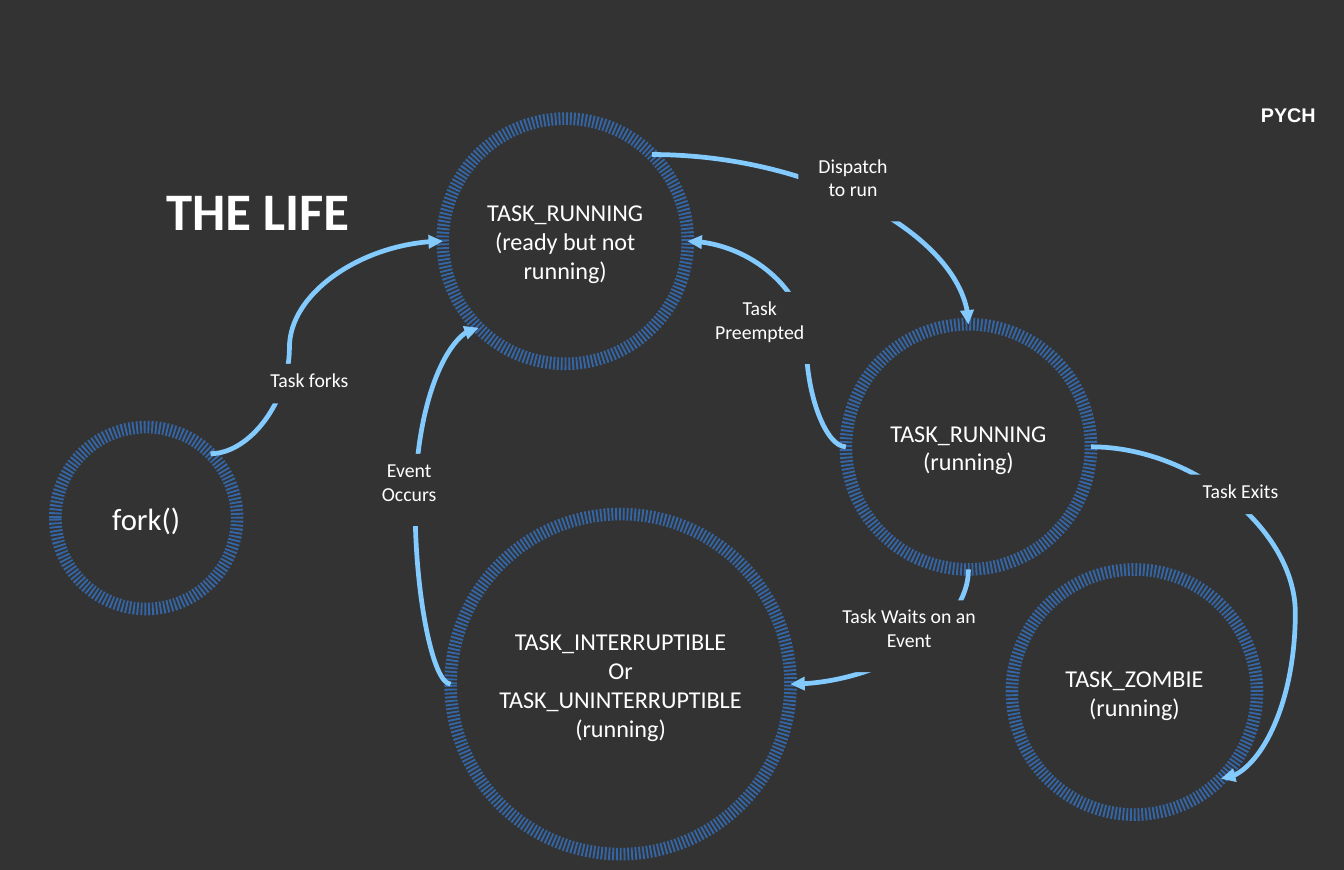
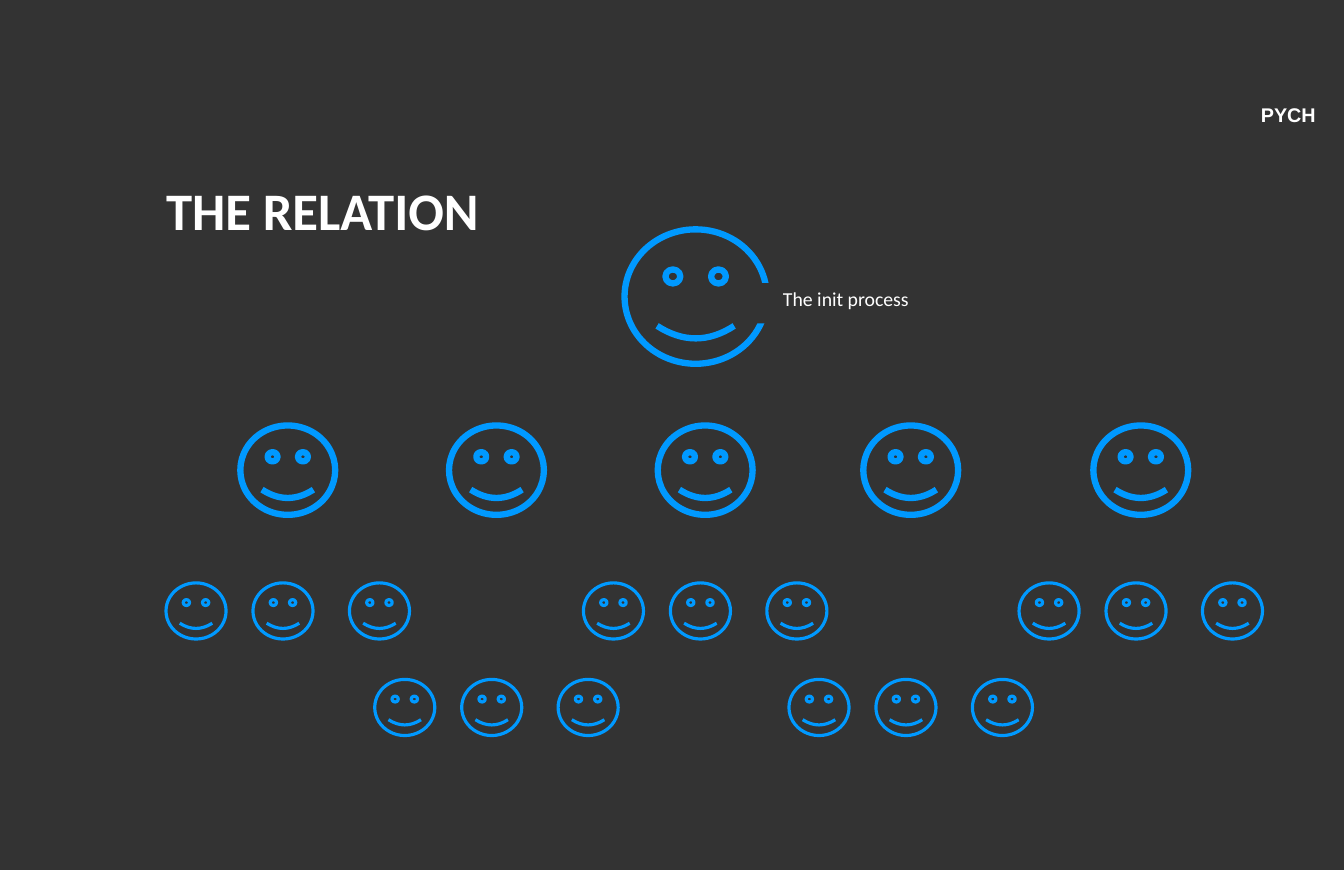
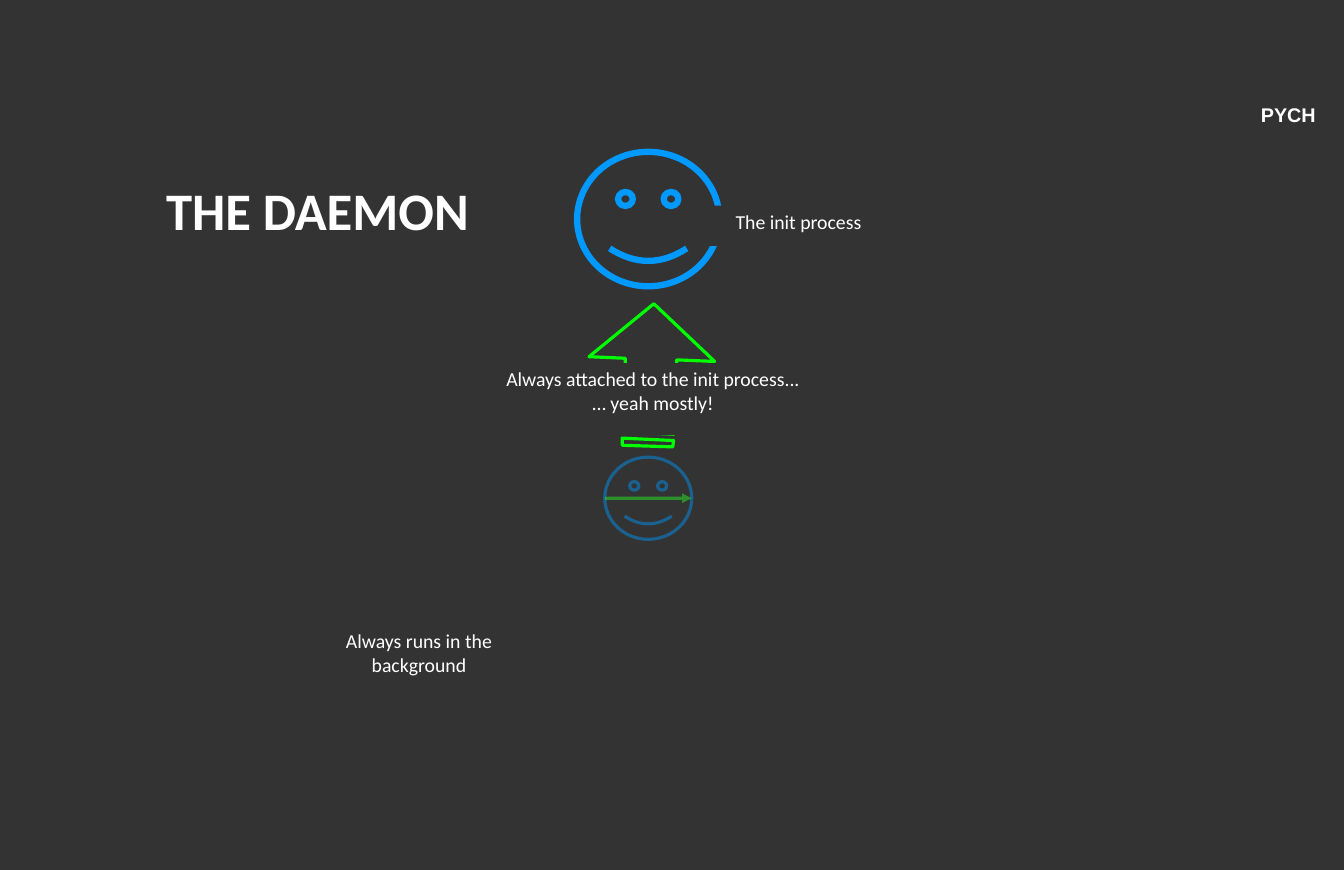
import math

import lxml.etree
import pptx
import pptx.dml.color
import pptx.enum.shapes
import pptx.enum.text
import pptx.oxml.ns
import pptx.util

Inches = pptx.util.Inches
Pt = pptx.util.Pt
qn = pptx.oxml.ns.qn
SHAPE = pptx.enum.shapes.MSO_SHAPE
ALIGN = pptx.enum.text.PP_ALIGN
ANCHOR = pptx.enum.text.MSO_ANCHOR
FIT = pptx.enum.text.MSO_AUTO_SIZE

TOP, TOP_LEFT, LEFT, BOTTOM_LEFT, BOTTOM, BOTTOM_RIGHT, RIGHT, TOP_RIGHT = range(8)


def rgb(value):
    """Turn a hex string into a colour."""
    return pptx.dml.color.RGBColor.from_string(value)


def write(frame, text, size=18, font="Calibri", color="FFFFFF", bold=False,
          align=ALIGN.CENTER, anchor=ANCHOR.TOP, wrap=True, fit=FIT.SHAPE_TO_FIT_TEXT,
          inset=(0.1, 0.05)):
    """Fill a text frame, one paragraph for each line of text."""
    frame.text = text
    frame.word_wrap = wrap
    frame.auto_size = fit
    frame.vertical_anchor = anchor
    frame.margin_left = frame.margin_right = Inches(inset[0])
    frame.margin_top = frame.margin_bottom = Inches(inset[1])
    for paragraph in frame.paragraphs:
        paragraph.alignment = align
        for run in paragraph.runs:
            run.font.size = Pt(size)
            run.font.name = font
            run.font.bold = bold
            run.font.color.rgb = rgb(color)


def site(ellipse, index):
    """Return the point of one of the eight sites, counted anticlockwise from the top."""
    angle = math.radians(90 + 45 * index)
    x = ellipse.left + ellipse.width / 2 * (1 + math.cos(angle))
    y = ellipse.top + ellipse.height / 2 * (1 - math.sin(angle))
    return round(x), round(y)


class Deck:
    """Hold the style and the current slide."""

    BACKGROUND = "333333"
    RING = "3465A4"
    FLOW = "83CAFF"
    FACE = "0099FF"
    ATTACH = "00FF00"
    TRACK = "23FF23"

    def __init__(self):
        """Open a presentation with a dark master."""
        self.prs = pptx.Presentation()
        self.prs.slide_width = Inches(17)
        self.prs.slide_height = Inches(11)
        fill = self.prs.slide_master.background.fill
        fill.solid()
        fill.fore_color.rgb = rgb(self.BACKGROUND)

    def start(self, title, width):
        """Add a slide with its title and tag."""
        self.slide = self.prs.slides.add_slide(self.prs.slide_layouts[5])
        self.shapes = self.slide.shapes
        heading = self.shapes.title
        self.place(heading, 2, 2.2, width, 0.95)
        write(heading.text_frame, title, size=48, bold=True, align=ALIGN.LEFT, wrap=False)
        tag = self.shapes.add_textbox(Inches(15.85), Inches(1.25), Inches(0.95), Inches(0.38))
        write(tag.text_frame, "PYCH", font="Arial", bold=True, align=ALIGN.LEFT, fit=FIT.NONE)

    def place(self, shape, left, top, width, height):
        """Move and size a shape."""
        shape.left, shape.top = Inches(left), Inches(top)
        shape.width, shape.height = Inches(width), Inches(height)

    def stroke(self, shape, color, width, alpha=None):
        """Set a line and return its XML."""
        shape.line.color.rgb = rgb(color)
        shape.line.width = Pt(width)
        line = shape.element.spPr.find(qn("a:ln"))
        if alpha:
            tint = line.find(".//" + qn("a:srgbClr"))
            lxml.etree.SubElement(tint, qn("a:alpha"), val=str(alpha * 1000))
        return line

    def outline(self, shape, color, width, alpha=None):
        """Leave only the outline of a shape and return the XML of its line."""
        shape.shadow.inherit = False
        shape.fill.background()
        return self.stroke(shape, color, width, alpha)

    def state(self, text, left, top, size, font_size=22):
        """Draw a ring of fine dashes around a state."""
        ring = self.shapes.add_shape(SHAPE.OVAL, Inches(left), Inches(top),
                                     Inches(size), Inches(size))
        line = self.outline(ring, self.RING, 11.5)
        dashes = lxml.etree.SubElement(line, qn("a:custDash"))
        lxml.etree.SubElement(dashes, qn("a:ds"), d="15000", sp="15000")
        write(ring.text_frame, text, size=font_size, anchor=ANCHOR.MIDDLE, wrap=False,
              fit=FIT.NONE, inset=(0.18, 0.13))
        return ring

    def label(self, text, left, top, width, height=0.91, **style):
        """Put text on a patch of the background colour."""
        patch = self.shapes.add_shape(SHAPE.RECTANGLE, Inches(left), Inches(top),
                                      Inches(width), Inches(height))
        patch.shadow.inherit = False
        patch.fill.solid()
        patch.fill.fore_color.rgb = rgb(self.BACKGROUND)
        patch.line.fill.background()
        write(patch.text_frame, text, **style)

    def face(self, left, top, width, height, line_width=5.75, alpha=None, shapes=None):
        """Draw a smiling process."""
        smiley = (shapes or self.shapes).add_shape(
            SHAPE.SMILEY_FACE, Inches(left), Inches(top), Inches(width), Inches(height))
        smiley.adjustments[0] = 0.093
        self.outline(smiley, self.FACE, line_width, alpha)
        return smiley

    def init_process(self, left, top):
        """Draw the init process with its label."""
        self.face(left, top, 1.8, 1.7)
        self.label("The init process", left + 1.5, top + 0.68, 2.6, 0.51)

    def children(self, left, top):
        """Draw a group of three small processes."""
        family = self.shapes.add_group_shape()
        for offset in (0, 1.1, 2.32):
            self.face(left + offset, top, 0.76, 0.71, 2.89, shapes=family.shapes)

    def arrow(self, start, end, color, width, alpha=None, tip="tailEnd", shapes=None):
        """Draw a curved arrow between two points."""
        curve = (shapes or self.shapes).add_connector(
            pptx.enum.shapes.MSO_CONNECTOR.CURVE, *start, *end)
        line = self.stroke(curve, color, width, alpha)
        lxml.etree.SubElement(line, qn("a:" + tip), type="triangle")
        lxml.etree.SubElement(curve.element.spPr, qn("a:effectLst"))
        return curve

    def transition(self, source, leave, target, enter, bend=None, tip="tailEnd"):
        """Join two states, with a quarter curve unless a bend is given."""
        curve = self.arrow(site(source, leave), site(target, enter), self.FLOW, 4.31, tip=tip)
        geometry = curve.element.spPr.find(qn("a:prstGeom"))
        if bend is None:
            geometry.set("prst", "curvedConnector2")
        else:
            lxml.etree.SubElement(geometry.find(qn("a:avLst")), qn("a:gd"),
                                  name="adj1", fmla=f"val {round(bend * 100000)}")
        joints = curve.element.nvCxnSpPr.cNvCxnSpPr
        for end, state, index in (("stCxn", source, leave), ("endCxn", target, enter)):
            lxml.etree.SubElement(joints, qn("a:" + end), id=str(state.shape_id), idx=str(index))

    def contours(self, outlines, color, width):
        """Draw closed outlines, given in hundredths of an inch, as one shape."""
        first, *others = outlines
        builder = self.shapes.build_freeform(*first[0], scale=Inches(0.01))
        builder.add_line_segments(first[1:], close=True)
        for points in others:
            builder.move_to(*points[0])
            builder.add_line_segments(points[1:], close=True)
        self.outline(builder.convert_to_shape(), color, width)


def life(deck):
    """Build the life cycle of a task."""
    deck.start("THE LIFE", 2.61)
    fork = deck.state("fork()", 0.7, 5.4, 2.3, font_size=28)
    ready = deck.state("TASK_RUNNING\n(ready but not\nrunning)", 5.6, 1.5, 3.1)
    running = deck.state("TASK_RUNNING\n(running)", 10.7, 4.1, 3.1)
    zombie = deck.state("TASK_ZOMBIE\n(running)", 12.8, 7.2, 3.1)
    waiting = deck.state("TASK_INTERRUPTIBLE\nOr\nTASK_UNINTERRUPTIBLE\n(running)",
                         5.7, 6.5, 4.3)
    deck.transition(fork, TOP_RIGHT, ready, LEFT, 0.34)
    deck.transition(ready, TOP_RIGHT, running, TOP)
    deck.transition(running, LEFT, ready, RIGHT, 0.25)
    deck.transition(running, RIGHT, zombie, BOTTOM_RIGHT, 1.57)
    deck.transition(waiting, RIGHT, running, BOTTOM, tip="headEnd")
    deck.transition(waiting, LEFT, ready, BOTTOM_LEFT, -1.27)
    deck.label("Task forks", 3.32, 4.6, 1.68, 0.5, align=ALIGN.LEFT)
    deck.label("Dispatch\nto run", 10.1, 1.89, 1.38)
    deck.label("Task Preempted", 8.72, 3.69, 1.78)
    deck.label("Task Exits", 14.8, 6, 1.78, 0.5)
    deck.label("Task Waits on an Event", 10.4, 7.59, 2.2)
    deck.label("Event Occurs", 4.6, 5.74, 1.15)


def relation(deck):
    """Build the family of processes below init."""
    deck.start("THE RELATION", 4.5)
    deck.init_process(7.9, 2.9)
    for order, left in enumerate((3.04, 5.68, 8.32, 10.92, 13.83)):
        deck.face(left, 5.38, 1.2, 1.13)
        deck.children(left - 0.94, 7.37 + 1.22 * (order % 2))


def daemon(deck):
    """Build the daemon attached to init."""
    deck.start("THE DAEMON", 4.42)
    background = deck.shapes.add_group_shape().shapes
    process = deck.face(7.65, 5.78, 1.1, 1.04, 2.89, alpha=45, shapes=background)
    deck.arrow(site(process, LEFT), site(process, RIGHT), deck.TRACK, 2.89,
               alpha=45, shapes=background)
    deck.label("Always runs in the background", 4, 7.9, 2.6)
    head = [(745, 451), (827, 384), (904, 457), (856, 455), (853, 532), (788, 529), (791, 453)]
    near_stripe = [(788, 546), (852, 549), (852, 540), (788, 538)]
    far_stripe = [(787, 563), (851, 565), (852, 557), (787, 554)]
    deck.contours([head, far_stripe, near_stripe], deck.ATTACH, 2.89)
    deck.label("Always attached to the init process...\n… yeah mostly!", 5.62, 4.59, 5.28,
               wrap=False)
    deck.init_process(7.3, 1.92)


def main():
    """Build and save the slides."""
    deck = Deck()
    for build in (life, relation, daemon):
        build(deck)
    deck.prs.save("out.pptx")


if __name__ == "__main__":
    main()
